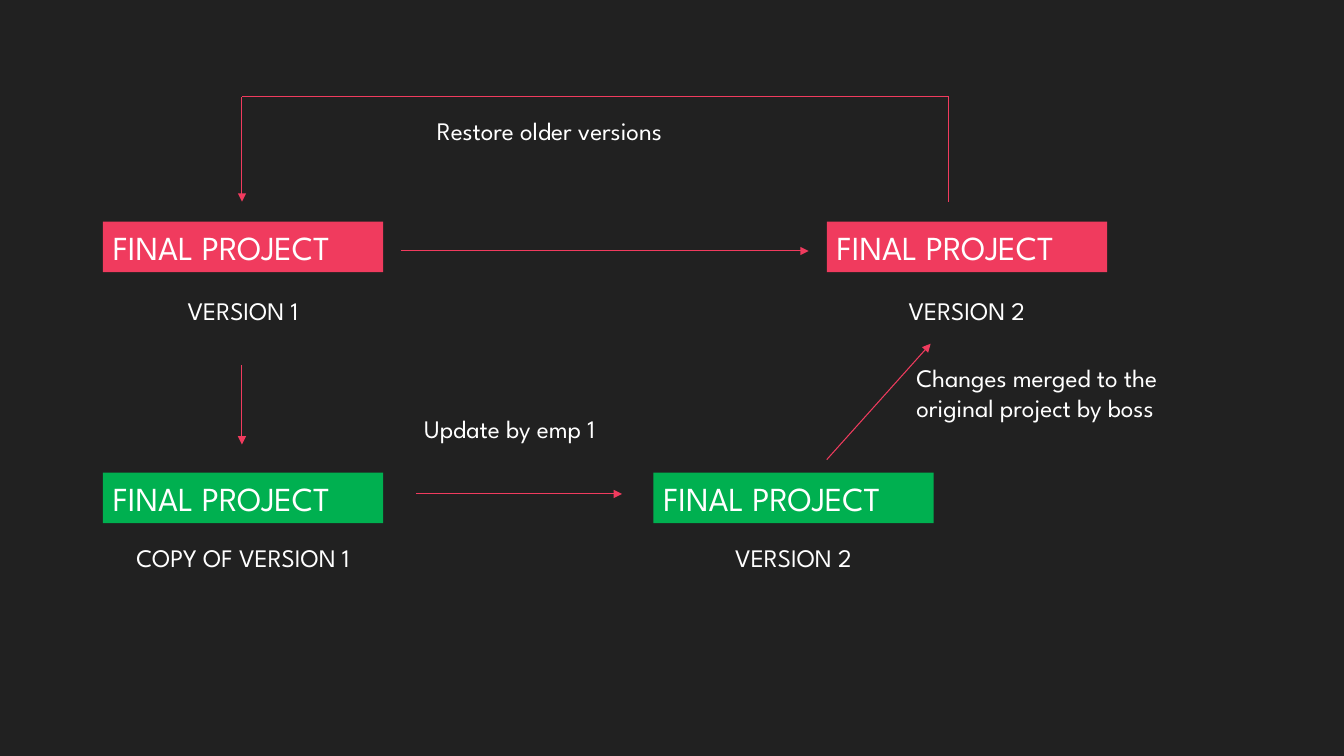
from lxml import etree
from pptx import Presentation
from pptx.dml.color import RGBColor
from pptx.enum.shapes import MSO_CONNECTOR, MSO_SHAPE
from pptx.enum.text import MSO_ANCHOR, MSO_AUTO_SIZE, PP_ALIGN
from pptx.oxml.ns import qn
from pptx.util import Inches, Pt

RECTANGLE = MSO_SHAPE.RECTANGLE
STRAIGHT = MSO_CONNECTOR.STRAIGHT
LEFT, CENTER = PP_ALIGN.LEFT, PP_ALIGN.CENTER
TOP = MSO_ANCHOR.TOP
GROW = MSO_AUTO_SIZE.SHAPE_TO_FIT_TEXT

PINK, GREEN, WHITE, DARK = "F03B5E", "00B050", "FFFFFF", "212121"

# Grid: left edges of the boxes, and tops of the two rows
BOX_WIDTH, BOX_HEIGHT = 2.78, 0.5
FIRST, MIDDLE, LAST = 1.02, 6.48, 8.2
MASTER_ROW, COPY_ROW = 2.2, 4.69
LINE_HEIGHT = 0.4
LOOP_TOP, LOOP_BOTTOM = 0.96, 2
LOOP_LEFT, LOOP_RIGHT = 2.4, 9.41


def color(hex_code):
    return RGBColor.from_string(hex_code)


def write(shape, text, size, align):
    """Put one white paragraph in a shape that grows with its text."""
    frame = shape.text_frame
    settings = {"word_wrap": True, "auto_size": GROW, "vertical_anchor": TOP}
    for name, value in settings.items():
        setattr(frame, name, value)
    para = frame.paragraphs[0]
    para.alignment = align
    span = para.add_run()
    span.text = text
    for name, value in {"name": "League Spartan", "size": Pt(size)}.items():
        setattr(span.font, name, value)
    span.font.color.rgb = color(WHITE)


deck = Presentation()
deck.slide_width, deck.slide_height = Inches(13.33), Inches(7.5)
page = deck.slides.add_slide(deck.slide_layouts[6])
page.background.fill.solid()
page.background.fill.fore_color.rgb = color(DARK)

# Project boxes, each with a caption centred below it
projects = [
    (FIRST, MASTER_ROW, PINK, "VERSION 1", 2.03, 0.68, LINE_HEIGHT),
    (LAST, MASTER_ROW, PINK, "VERSION 2", 2.03, 0.68, LINE_HEIGHT),
    (FIRST, COPY_ROW, GREEN, "COPY OF VERSION 1", 2.57, 0.64, 0.71),
    (MIDDLE, COPY_ROW, GREEN, "VERSION 2", BOX_WIDTH, 0.64, LINE_HEIGHT),
]
for left, top, fill, caption, width, drop, height in projects:
    box = page.shapes.add_shape(
        RECTANGLE, Inches(left), Inches(top), Inches(BOX_WIDTH), Inches(BOX_HEIGHT))
    box.shadow.inherit = False
    box.fill.solid()
    box.fill.fore_color.rgb = color(fill)
    box.line.fill.background()
    write(box, "FINAL PROJECT", 24, LEFT)
    label = page.shapes.add_textbox(
        Inches(left + (BOX_WIDTH - width) / 2), Inches(top + drop),
        Inches(width), Inches(height))
    write(label, caption, 18, CENTER)

# Notes beside the arrows
notes = [
    ("Restore older versions", 3.98, 1.09, 2.94, LINE_HEIGHT, CENTER),
    ("Update by emp 1", 4.09, 4.05, 1.93, 0.71, CENTER),
    ("Changes merged to the original project by boss", 8.99, 3.54, 3.01, 1.01, LEFT),
]
for text, left, top, width, height, align in notes:
    note = page.shapes.add_textbox(
        Inches(left), Inches(top), Inches(width), Inches(height))
    write(note, text, 18, align)

# Lines: start, end, whether the end has an arrowhead
links = [
    ((3.98, 2.49), (8.02, 2.49), True),
    ((LOOP_LEFT, 3.62), (LOOP_LEFT, 4.41), True),
    ((4.13, 4.9), (6.17, 4.9), True),
    ((LAST, 4.56), (9.23, 3.41), True),
    ((LOOP_RIGHT, LOOP_BOTTOM), (LOOP_RIGHT, LOOP_TOP), False),
    ((LOOP_RIGHT, LOOP_TOP), (LOOP_LEFT, LOOP_TOP), False),
    ((LOOP_LEFT, LOOP_TOP), (LOOP_LEFT, LOOP_BOTTOM), True),
]
for start, end, has_arrow in links:
    link = page.shapes.add_connector(STRAIGHT, *map(Inches, start + end))
    link.line.color.rgb = color(PINK)
    link.line.width = Pt(0.75)
    if has_arrow:
        etree.SubElement(link.line._get_or_add_ln(), qn("a:tailEnd"), type="triangle")
    etree.SubElement(link._element.spPr, qn("a:effectLst"))

deck.save("out.pptx")
